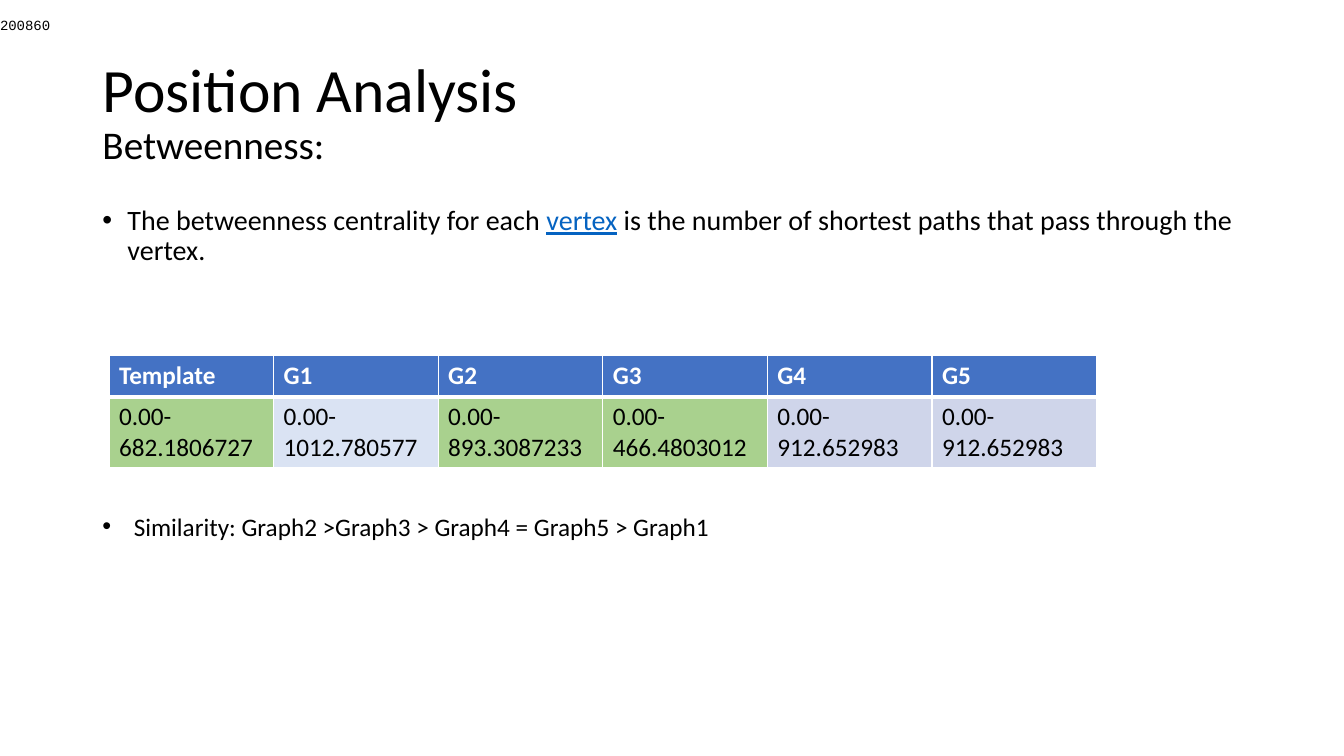
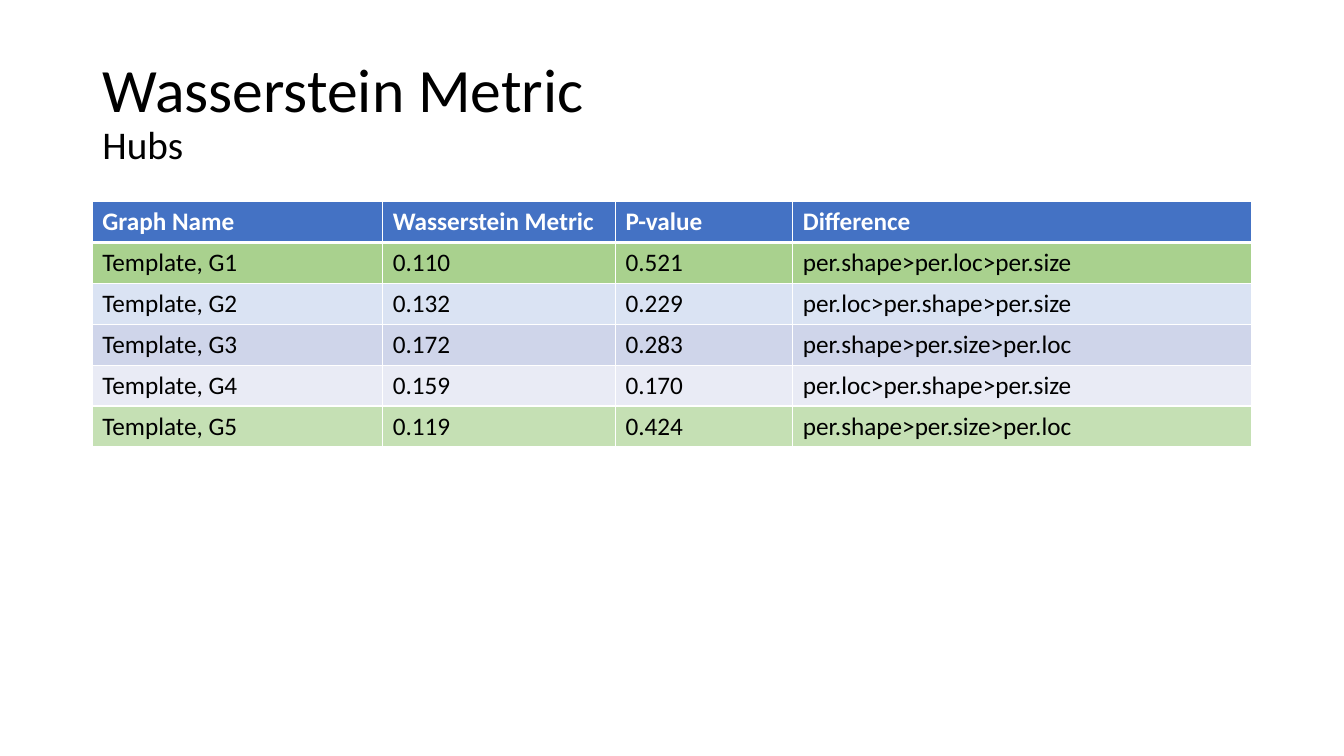
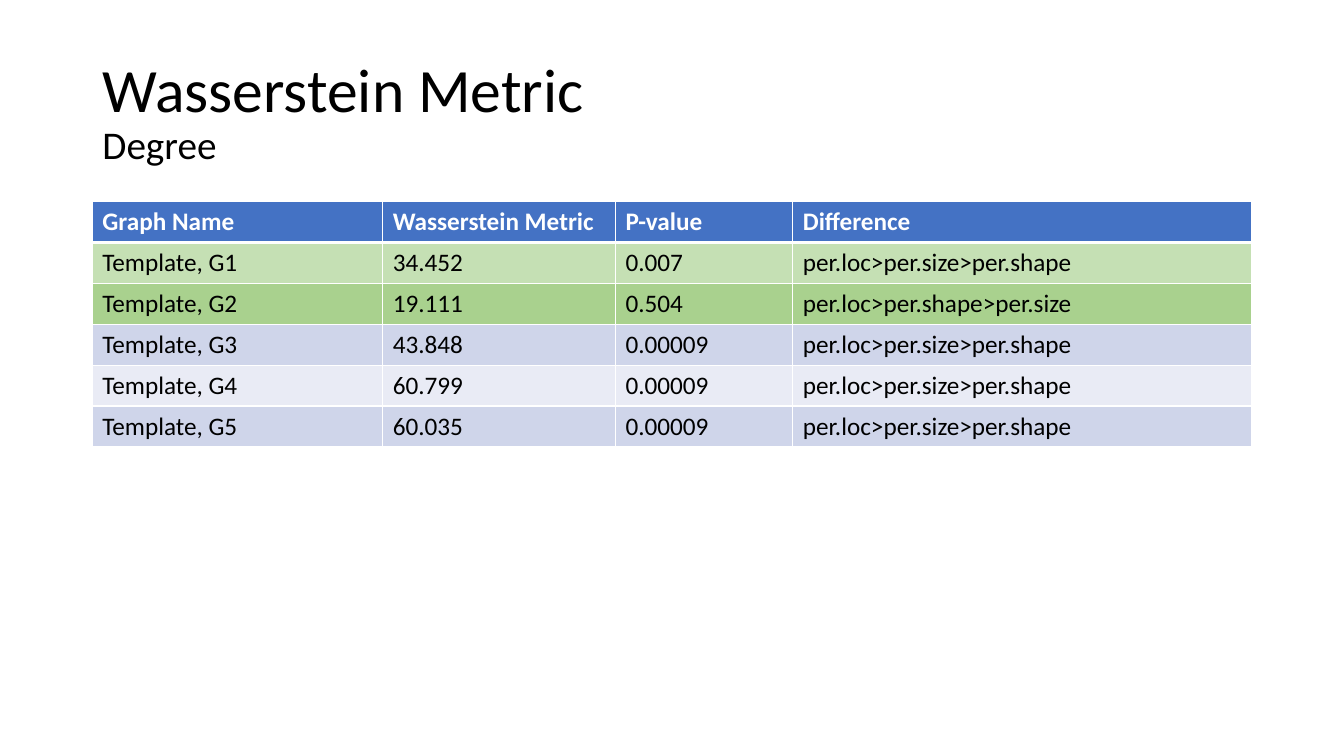
from pptx import Presentation
from pptx.dml.color import RGBColor
from pptx.enum.text import MSO_ANCHOR, MSO_AUTO_SIZE, PP_ALIGN
from pptx.oxml.ns import qn
from pptx.util import Pt
from lxml.etree import SubElement

BODY_FACE = "Calibri"
BLACK, WHITE, LINK = "000000", "FFFFFF", "0563C1"
HEADER, PALE_BLUE, BAND, LIGHT_BAND = "4472C4", "DAE3F3", "CFD5EA", "E9EBF5"
GREEN, PALE_GREEN = "A9D18E", "C5E0B4"
TITLE_BOX = (66, 28.8, 828, 104.4)
ROW_HEIGHT = 29.2
METRIC_COLUMNS = (207.4, 166.3, 126.7, 327.6)
METRIC_HEADINGS = ("Graph Name", "Wasserstein Metric", "P-value", "Difference")


def color(hex_string):
    """Turn a hex string into a colour."""
    return RGBColor.from_string(hex_string)


def add_span(para, text, size=18, ink=BLACK, bold=False, underline=False, face=BODY_FACE):
    """Add formatted text to a paragraph."""
    span = para.add_run()
    span.text = text
    font = span.font
    font.size, font.bold, font.underline, font.name = Pt(size), bold, underline, face
    font.color.rgb = color(ink)


def add_bullet(para, indent):
    """Give a paragraph a round bullet with a hanging indent."""
    properties = para._p.get_or_add_pPr()
    properties.set("marL", str(Pt(indent)))
    properties.set("indent", str(-Pt(indent)))
    SubElement(properties, qn("a:buFont")).set("typeface", "Arial")
    SubElement(properties, qn("a:buChar")).set("char", "•")


def add_box(page, bounds, wrap=True):
    """Add a text box and return it."""
    box = page.shapes.add_textbox(*map(Pt, bounds))
    box.text_frame.word_wrap = wrap
    return box


def add_page(deck, heading, subheading):
    """Add a slide with a two-line title."""
    page = deck.slides.add_slide(deck.slide_layouts[5])
    title = page.shapes.title
    title.left, title.top, title.width, title.height = map(Pt, TITLE_BOX)
    frame = title.text_frame
    frame.auto_size = MSO_AUTO_SIZE.NONE
    frame.vertical_anchor = MSO_ANCHOR.MIDDLE
    para = frame.paragraphs[0]
    para.alignment, para.line_spacing = PP_ALIGN.LEFT, 0.9
    add_span(para, heading, size=44)
    para.add_line_break()
    add_span(para, subheading, size=28)
    return page


def add_borders(cell, top, bottom):
    """Draw white borders around a cell."""
    properties = cell._tc.get_or_add_tcPr()
    for side, width in (("L", 1), ("R", 1), ("T", top), ("B", bottom)):
        line = SubElement(properties, qn(f"a:ln{side}"), w=str(Pt(width)))
        fill = SubElement(line, qn("a:solidFill"))
        SubElement(fill, qn("a:srgbClr")).set("val", WHITE)


def add_grid(page, left, top, columns, heights, rows, fills):
    """Add a table whose first row is the header."""
    bounds = map(Pt, (left, top, sum(columns), sum(heights)))
    table = page.shapes.add_table(len(rows), len(columns), *bounds).table
    table.horz_banding = False
    for column, width in zip(table.columns, columns):
        column.width = Pt(width)
    for index, (row, height) in enumerate(zip(table.rows, heights)):
        row.height = Pt(height)
        header = index == 0
        for cell, text, fill in zip(row.cells, rows[index], fills[index]):
            add_borders(cell, top=3 if index == 1 else 1, bottom=3 if header else 1)
            cell.fill.solid()
            cell.fill.fore_color.rgb = color(fill)
            para = cell.text_frame.paragraphs[0]
            add_span(para, text, ink=WHITE if header else BLACK, bold=header)


def add_page_code(page, bounds, text):
    """Add the white strip with the code at the top of the slide."""
    box = add_box(page, bounds)
    box.fill.solid()
    box.fill.fore_color.rgb = color(WHITE)
    frame = box.text_frame
    frame.vertical_anchor = MSO_ANCHOR.MIDDLE
    frame.margin_left = frame.margin_right = frame.margin_top = frame.margin_bottom = 0
    add_span(frame.paragraphs[0], text, size=10, face="Courier New")


def build_betweenness(deck):
    """Build the betweenness slide."""
    page = add_page(deck, "Position Analysis", "Betweenness:")
    definition = add_box(page, (66, 144, 828, 342.7)).text_frame.paragraphs[0]
    add_bullet(definition, 18)
    definition.line_spacing = 0.9
    add_span(definition, "The betweenness centrality for each ", size=20)
    add_span(definition, "vertex", size=20, ink=LINK, underline=True)
    add_span(definition, " is the number of shortest paths that pass through the vertex.", size=20)
    add_page_code(page, (0, 0, 960, 36), "200860")
    rows = [
        ("Template", "G1", "G2", "G3", "G4", "G5"),
        ("0.00-682.1806727", "0.00-1012.780577", "0.00-893.3087233",
         "0.00-466.4803012", "0.00-912.652983", "0.00-912.652983"),
    ]
    fills = [[HEADER] * 6, [GREEN, PALE_BLUE, GREEN, GREEN, BAND, BAND]]
    add_grid(page, 77.8, 254.2, [117.6] * 6, (ROW_HEIGHT, 50.4), rows, fills)
    similarity = add_box(page, (66, 361.4, 449.3, 29), wrap=False).text_frame.paragraphs[0]
    add_bullet(similarity, 22.5)
    add_span(similarity, "Similarity: Graph2 >Graph3 > Graph4 = Graph5 > Graph1")


def build_metric(deck, subheading, results, row_fills):
    """Build a slide comparing the template with each graph."""
    page = add_page(deck, "Wasserstein Metric", subheading)
    rows = [METRIC_HEADINGS]
    rows += [(f"Template, G{number}", *result) for number, result in enumerate(results, 1)]
    fills = [[fill] * len(METRIC_COLUMNS) for fill in (HEADER, *row_fills)]
    add_grid(page, 66, 144, METRIC_COLUMNS, [ROW_HEIGHT] * len(rows), rows, fills)


def main():
    """Build and save the deck."""
    deck = Presentation()
    deck.slide_width, deck.slide_height = Pt(960), Pt(540)
    build_betweenness(deck)
    build_metric(deck, "Hubs", [
        ("0.110", "0.521", "per.shape>per.loc>per.size"),
        ("0.132", "0.229", "per.loc>per.shape>per.size"),
        ("0.172", "0.283", "per.shape>per.size>per.loc"),
        ("0.159", "0.170", "per.loc>per.shape>per.size"),
        ("0.119", "0.424", "per.shape>per.size>per.loc"),
    ], (GREEN, PALE_BLUE, BAND, LIGHT_BAND, PALE_GREEN))
    build_metric(deck, "Degree", [
        ("34.452", "0.007", "per.loc>per.size>per.shape"),
        ("19.111", "0.504", "per.loc>per.shape>per.size"),
        ("43.848", "0.00009", "per.loc>per.size>per.shape"),
        ("60.799", "0.00009", "per.loc>per.size>per.shape"),
        ("60.035", "0.00009", "per.loc>per.size>per.shape"),
    ], (PALE_GREEN, GREEN, BAND, LIGHT_BAND, BAND))
    deck.save("out.pptx")


if __name__ == "__main__":
    main()
